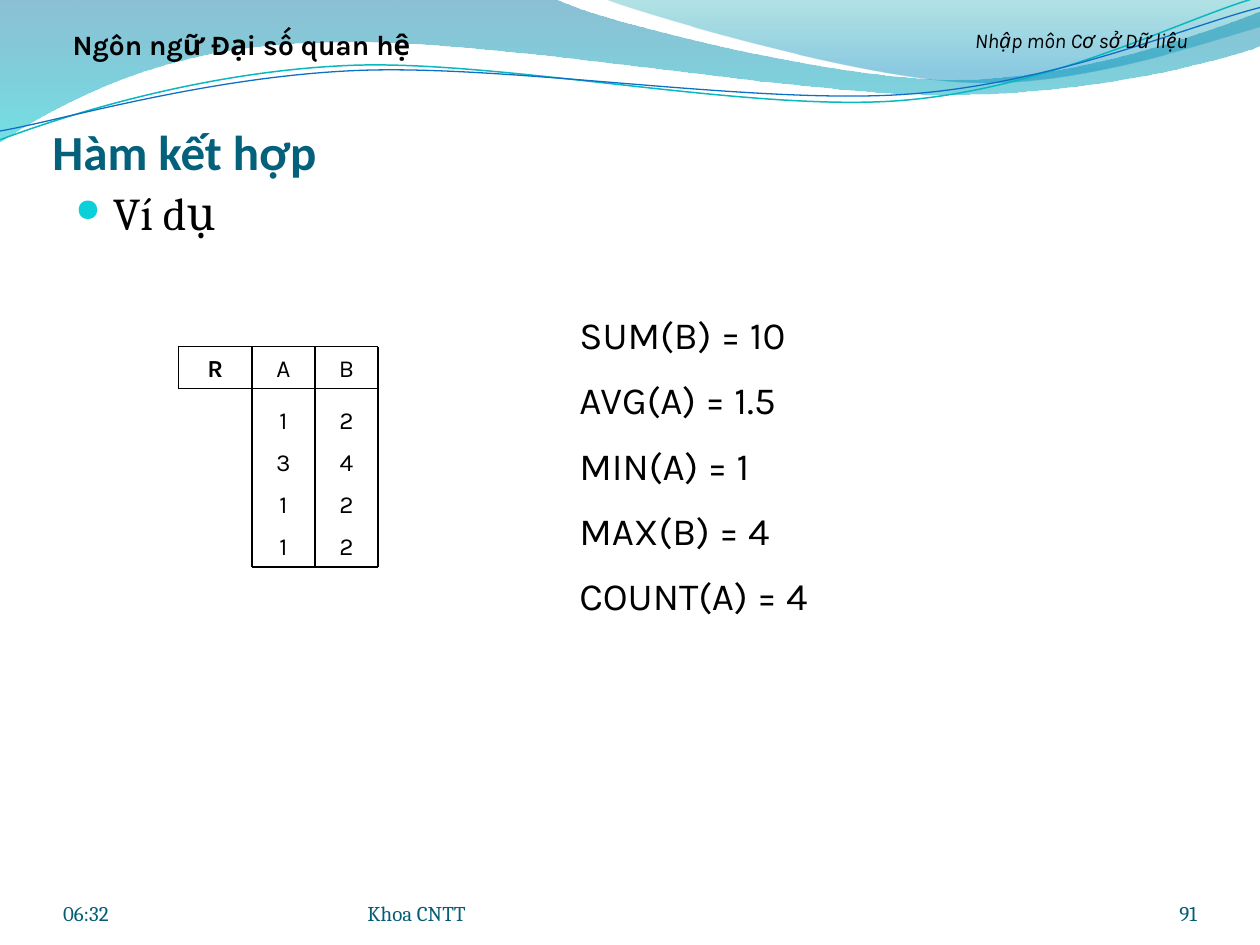
from lxml import etree
from pptx import Presentation
from pptx.dml.color import RGBColor
from pptx.enum.shapes import MSO_CONNECTOR
from pptx.enum.text import MSO_ANCHOR, PP_ALIGN
from pptx.oxml import parse_xml
from pptx.oxml.ns import qn
from pptx.util import Inches, Pt

LEFT, MID, RIGHT = PP_ALIGN.LEFT, PP_ALIGN.CENTER, PP_ALIGN.RIGHT
TOP, BASE = MSO_ANCHOR.TOP, MSO_ANCHOR.BOTTOM
LINE = MSO_CONNECTOR.STRAIGHT

BLACK = RGBColor(0, 0, 0)
TITLE = RGBColor(0x04, 0x61, 0x7B)
FOOT = RGBColor(0x04, 0x5D, 0x75)
DOT = RGBColor(0x0B, 0xD0, 0xD9)
TEAL = RGBColor(0x0A, 0xB8, 0xBF)
BLUE = RGBColor(0x0F, 0x6F, 0xC6)
DEEP = RGBColor(0x00, 0x74, 0xA1)
CYAN = RGBColor(0x00, 0xC6, 0xCF)
SEA = RGBColor(0x00, 0xA1, 0xA9)
SKY = RGBColor(0x00, 0x8B, 0xBF)

# The slide is a grid of 120 columns by 90 rows
COLS, ROWS = 120, 90
UNIT = Inches(10) / COLS
NS = "http://schemas.openxmlformats.org/drawingml/2006/main"

# Wave paths in hundredths of the band's width: a pair is a corner,
# six numbers are a Bezier curve
BACK = [(0, -.1), (44, -.1), (47.6, 1.7, 66.4, 6.3, 75.8, 6.3),
        (85.3, 6.3, 95.8, 2.6, 100, .9), (100.1, 3.6),
        (98.3, 4.4, 87, 7.6, 74.6, 7.5), (62.2, 7.5, 38.2, 2.8, 25.7, 3.4),
        (12.9, 3.5, 4.6, 8.3, -.1, 11.3)]
FRONT = [(47.9, -.1), (50.9, 1.1, 68.2, 6.2, 76.9, 6.5),
         (85.6, 6.9, 96.1, 3.2, 100, 2.1), (100, 0)]
UPPER = [(0, 11.1), (4.8, 9.3, 15.8, 5.7, 27.7, 5.2),
         (39.5, 4.7, 59.3, 8.9, 71.3, 8), (83.3, 7.1, 93.8, 1.5, 99.8, -.2)]
LOWER = [(0, 10.4), (4.7, 9.6, 16.4, 6.1, 28.3, 5.6),
         (40.3, 5.1, 59.7, 8.3, 71.7, 7.5), (83.6, 6.7, 94.1, 2.1, 100, .6)]


def grid(*nums):
    return [round(n * UNIT) for n in nums]


def write(slide, box, lines, size, font, color=BLACK, bold=False, ital=False,
          side=LEFT, anchor=TOP, pad=(.1, .05, .1, .05), gap=0):
    """Text box with one paragraph for each line."""
    frame = slide.shapes.add_textbox(*grid(*box)).text_frame
    frame.word_wrap = True
    frame.vertical_anchor = anchor
    (frame.margin_left, frame.margin_top,
     frame.margin_right, frame.margin_bottom) = map(Inches, pad)
    for i, line in enumerate(lines):
        para = frame.add_paragraph() if i else frame.paragraphs[0]
        para.alignment = side
        if i and gap:
            para.space_before = Pt(gap)
        run = para.add_run()
        run.text = line
        face = run.font
        face.name, face.size, face.bold, face.italic = font, Pt(size), bold, ital
        face.color.rgb = color
    return frame


def rule(slide, x1, y1, x2, y2):
    line = slide.shapes.add_connector(LINE, *grid(x1, y1, x2, y2))
    line.line.color.rgb = BLACK
    line.line.width = Pt(1)
    etree.SubElement(line._element.spPr, qn("a:effectLst"))


def curve(slide, box, path, closed):
    left, top, wide = grid(*box)
    pts = [(round(left + part[k] * wide / 100),
            round(top + part[k + 1] * wide / 100))
           for part in path for k in range(0, len(part), 2)]
    form = slide.shapes.build_freeform(*pts[0])
    form.add_line_segments(pts[1:], close=closed)
    shape = form.convert_to_shape()
    shape.shadow.inherit = False
    # Join each three points of a curve into one Bezier segment
    segs = iter(list(shape._element.iter(qn("a:lnTo"))))
    for part in path[1:]:
        seg = next(segs)
        if len(part) == 6:
            bend = etree.Element(qn("a:cubicBezTo"))
            seg.addprevious(bend)
            for item in (seg, next(segs), next(segs)):
                bend.append(item[0])
                item.getparent().remove(item)
    return shape


def waves(slide, box):
    # Translucent bands, shaded from top to bottom
    for path, stops in ((BACK, [(0, DEEP, 45), (100, CYAN, 55)]),
                        (FRONT, [(0, SEA, 30), (80, SKY, 45)])):
        shape = curve(slide, box, path, True)
        shape.line.fill.background()
        marks = "".join(
            f'<a:gs pos="{pos * 1000}"><a:srgbClr val="{color}">'
            f'<a:alpha val="{alpha * 1000}"/></a:srgbClr></a:gs>'
            for pos, color, alpha in stops)
        shape._element.spPr.find(qn("a:custGeom")).addnext(parse_xml(
            f'<a:gradFill xmlns:a="{NS}" rotWithShape="1"><a:gsLst>{marks}'
            '</a:gsLst><a:lin ang="5400000" scaled="0"/></a:gradFill>'))
    # Thin lines
    for path, color, width in ((UPPER, TEAL, .85), (LOWER, BLUE, .75)):
        shape = curve(slide, box, path, False)
        shape.fill.background()
        shape.line.color.rgb = color
        shape.line.width = Pt(width)


def header(slide, box):
    x, y, w, h = box
    write(slide, (x + w - 34, y, 34, h), ["Nhập môn Cơ sở Dữ liệu"],
          12, "Karla", ital=True, side=MID)
    write(slide, (x + w * .025, y, w / 3, h), ["Ngôn ngữ Đại số quan hệ"],
          16, "Karla", bold=True, side=MID)


def body(slide, box):
    x, y, w, h = box
    write(slide, (x, y, w, 8.2), ["Hàm kết hợp"], 28, "Calibri", TITLE, True,
          anchor=BASE, pad=(0, .05, 0, 0))
    frame = write(slide, (x + 1, y + 8, w - 4, h - 8), ["Ví dụ"], 26, "Cambria")
    props = frame.paragraphs[0]._p.get_or_add_pPr()
    props.set("marL", str(Inches(.3)))
    props.set("indent", str(-Inches(.3)))
    tint = etree.SubElement(props, qn("a:buClr"))
    etree.SubElement(tint, qn("a:srgbClr"), val=str(DOT))
    etree.SubElement(props, qn("a:buSzPct"), val="70000")
    etree.SubElement(props, qn("a:buChar"), char="●")


def relation(slide, box):
    """Relation R: a name cell, then columns A and B."""
    x, y, w, h = box
    a, b, end, low = x + w - 12, x + w - 6, x + w, y + h
    for left, wide, name in ((x, a - x, "R"), (a, 6, "A"), (b, 6, "B")):
        write(slide, (left, y, wide, 4), [name], 14, "Karla",
              bold=name == "R", side=MID)
    for i, pair in enumerate(("12", "34", "12", "12")):
        for left, digit in zip((a, b), pair):
            write(slide, (left, y + 5 + 4 * i, 6, 4), [digit], 14, "Karla",
                  side=MID)
    for left, row in ((x, y), (x, y + 4), (a, low)):
        rule(slide, left, row, end, row)
    for col, foot in ((x, y + 4), (a, low), (b, low), (end, low)):
        rule(slide, col, y, col, foot)


def sums(slide, box):
    write(slide, box, ["SUM(B) = 10", "AVG(A) = 1.5", "MIN(A) = 1",
                       "MAX(B) = 4", "COUNT(A) = 4"], 22, "Karla", gap=11)


def footer(slide, box):
    x, y, w, h = box
    for left, wide, text, side in ((x, 28, "06:32", LEFT),
                                   (x + 29, 44, "Khoa CNTT", LEFT),
                                   (x + w - 10, 10, "91", RIGHT)):
        write(slide, (left, y, wide, h), [text], 12, "Cambria", FOOT,
              side=side, anchor=BASE, pad=(0, 0, 0, 0))


def main():
    deck = Presentation()
    deck.slide_width, deck.slide_height = grid(COLS, ROWS)
    slide = deck.slides.add_slide(deck.slide_layouts[6])
    waves(slide, (0, 0, COLS))
    body(slide, (5, 9, 112, 71.5))
    footer(slide, (6, 83.4, 108, 4.8))
    relation(slide, (17, 33, 19, 21))
    sums(slide, (54, 29, 28, 32))
    header(slide, (0, 2, COLS, 4.5))
    deck.save("out.pptx")


if __name__ == "__main__":
    main()
